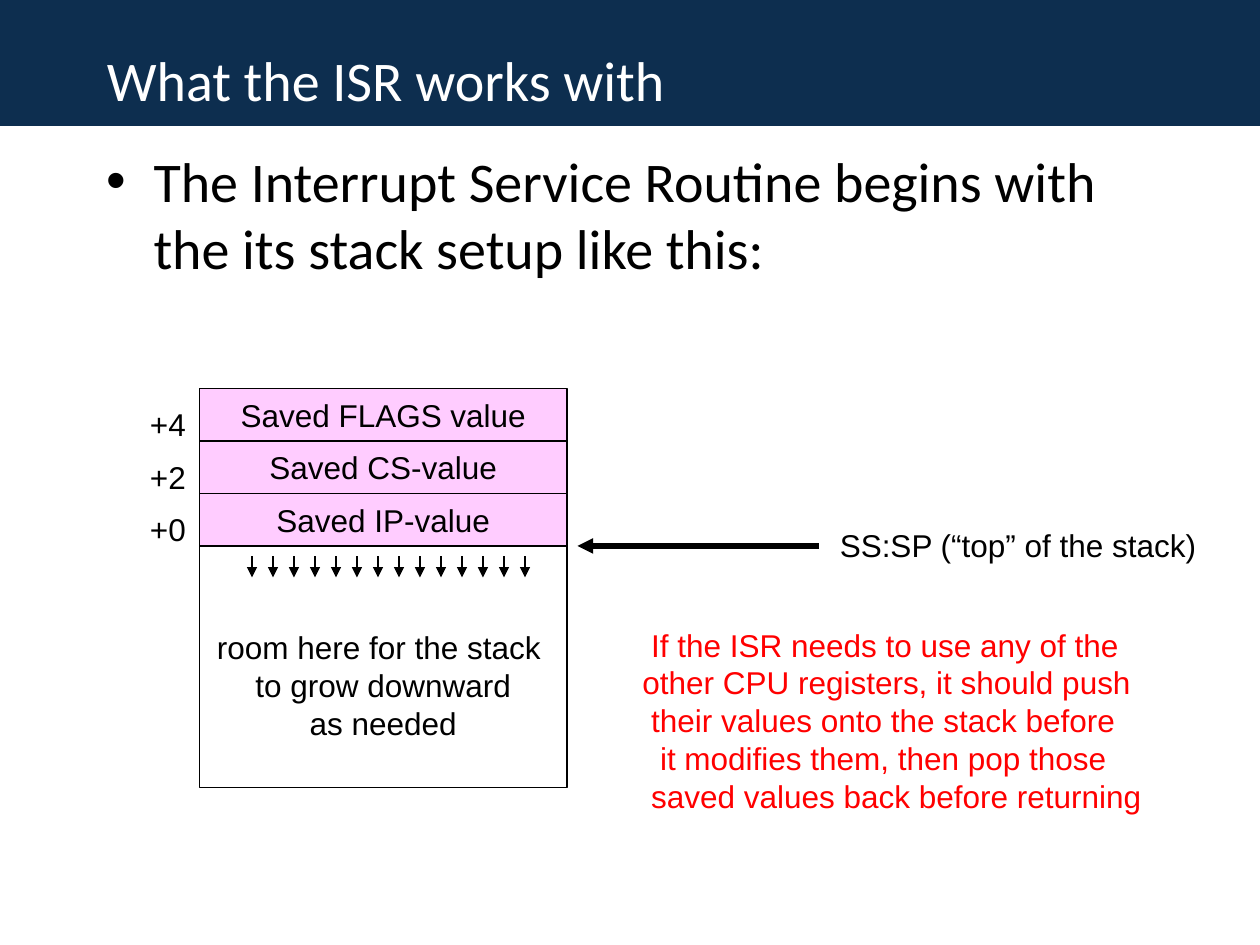
from dataclasses import dataclass

from pptx import Presentation
from pptx.dml.color import RGBColor
from pptx.enum.shapes import MSO_CONNECTOR as Connector, MSO_SHAPE as Shape
from pptx.enum.text import MSO_ANCHOR as Anchor, MSO_AUTO_SIZE as AutoSize, PP_ALIGN as Align
from pptx.oxml.ns import qn
from pptx.util import Inches, Pt
from lxml.etree import SubElement


@dataclass(frozen=True)
class Theme:
    navy: str = "0D2E4F"
    pink: str = "FFCCFF"
    white: str = "FFFFFF"
    black: str = "000000"
    red: str = "FF0000"
    heading_font: str = "Calibri"
    label_font: str = "Arial"
    heading_size: int = 32
    label_size: int = 18
    thin: float = 0.75
    thick: float = 3


class StackSlide:
    """Draws on a grid of 120 columns by 90 rows, twelve cells to the inch."""

    def __init__(self, deck, theme):
        self.theme = theme
        self.page = deck.slides.add_slide(deck.slide_layouts[6])
        self.column = deck.slide_width / 120
        self.row = deck.slide_height / 90

    def place(self, x, y):
        return round(x * self.column), round(y * self.row)

    def add_lines(self, frame, lines, color, heading=False, align=Align.LEFT, indents=(), bullet=False):
        """Fill a frame with one paragraph per line; indents are in inches."""
        theme = self.theme
        for index, line in enumerate(lines):
            para = frame.paragraphs[0] if index == 0 else frame.add_paragraph()
            para.alignment = align
            properties = para._p.get_or_add_pPr()
            if indents:
                properties.set("marL", str(Inches(indents[index])))
            if bullet:
                properties.set("indent", str(-Inches(indents[index])))
                SubElement(properties, qn("a:buFont")).set("typeface", theme.label_font)
                SubElement(properties, qn("a:buChar")).set("char", "•")
            span = para.add_run()
            span.text = line
            span.font.name = theme.heading_font if heading else theme.label_font
            span.font.size = Pt(theme.heading_size if heading else theme.label_size)
            span.font.color.rgb = RGBColor.from_string(color)

    def heading(self, x, y, width, height, text, color, anchor=Anchor.TOP, **style):
        box = self.page.shapes.add_textbox(*self.place(x, y), *self.place(width, height))
        frame = box.text_frame
        frame.word_wrap = True
        frame.vertical_anchor = anchor
        frame.margin_top = Inches(0.08)
        self.add_lines(frame, [text], color, heading=True, **style)

    def label(self, x, y, width, height, lines, color, **style):
        box = self.page.shapes.add_textbox(*self.place(x, y), *self.place(width, height))
        frame = box.text_frame
        frame.word_wrap = False
        frame.auto_size = AutoSize.SHAPE_TO_FIT_TEXT
        self.add_lines(frame, lines, color, **style)

    def block(self, x, y, width, height, fill, lines=(), outlined=True, top_inset=0.05):
        box = self.page.shapes.add_shape(Shape.RECTANGLE, *self.place(x, y), *self.place(width, height))
        box.shadow.inherit = False
        box.fill.solid()
        box.fill.fore_color.rgb = RGBColor.from_string(fill)
        if outlined:
            box.line.color.rgb = RGBColor.from_string(self.theme.black)
            box.line.width = Pt(self.theme.thin)
        else:
            box.line.fill.background()
        frame = box.text_frame
        frame.word_wrap = False
        frame.vertical_anchor = Anchor.MIDDLE
        frame.margin_top = Inches(top_inset)
        self.add_lines(frame, lines, self.theme.black, align=Align.CENTER)

    def arrow(self, start, end, weight):
        line = self.page.shapes.add_connector(Connector.STRAIGHT, *self.place(*start), *self.place(*end))
        line.line.color.rgb = RGBColor.from_string(self.theme.black)
        line.line.width = Pt(weight)
        outline = line._element.spPr.find(qn("a:ln"))
        SubElement(outline, qn("a:tailEnd")).set("type", "triangle")
        SubElement(line._element.spPr, qn("a:effectLst"))


def main():
    deck = Presentation()
    deck.slide_width, deck.slide_height = Inches(10), Inches(7.5)
    theme = Theme()
    slide = StackSlide(deck, theme)

    slide.block(0, 0, 120, 12, theme.navy, outlined=False)
    slide.heading(9, 3.6, 90, 7.5, "What the ISR works with", theme.white, anchor=Anchor.MIDDLE)
    slide.heading(9, 13, 105, 74,
                  "The Interrupt Service Routine begins with the its stack setup like this:",
                  theme.black, indents=[0.37], bullet=True)

    left, top, width, cell = 19, 37, 35, 5
    saved = [("+4", "Saved FLAGS value"), ("+2", "Saved CS-value"), ("+0", "Saved IP-value")]
    for index, (offset, value) in enumerate(saved):
        y = top + index * cell
        slide.block(left, y, width, cell, theme.pink, [value])
        slide.label(13.1, y + 1, 5.8, 4.8, [offset], theme.black)

    stack_top = top + len(saved) * cell
    slide.block(left, stack_top, width, 23, theme.white,
                ["room here for the stack ", "to grow downward", "as needed"], top_inset=0.34)
    for x in range(24, 51, 2):
        slide.arrow((x, stack_top + 1), (x, stack_top + 3), theme.thin)

    slide.arrow((78, stack_top), (55, stack_top), theme.thick)
    slide.label(78.8, 49.5, 36.4, 4.8, ["SS:SP (“top” of the stack)"], theme.black)
    slide.label(60, 59, 49.9, 19.2,
                ["If the ISR needs to use any of the",
                 "other CPU registers, it should push",
                 "their values onto the stack before",
                 "it modifies them, then pop those",
                 "saved values back before returning"],
                theme.red, indents=[0.07, 0, 0.07, 0.14, 0.07])

    deck.save("out.pptx")


if __name__ == "__main__":
    main()
